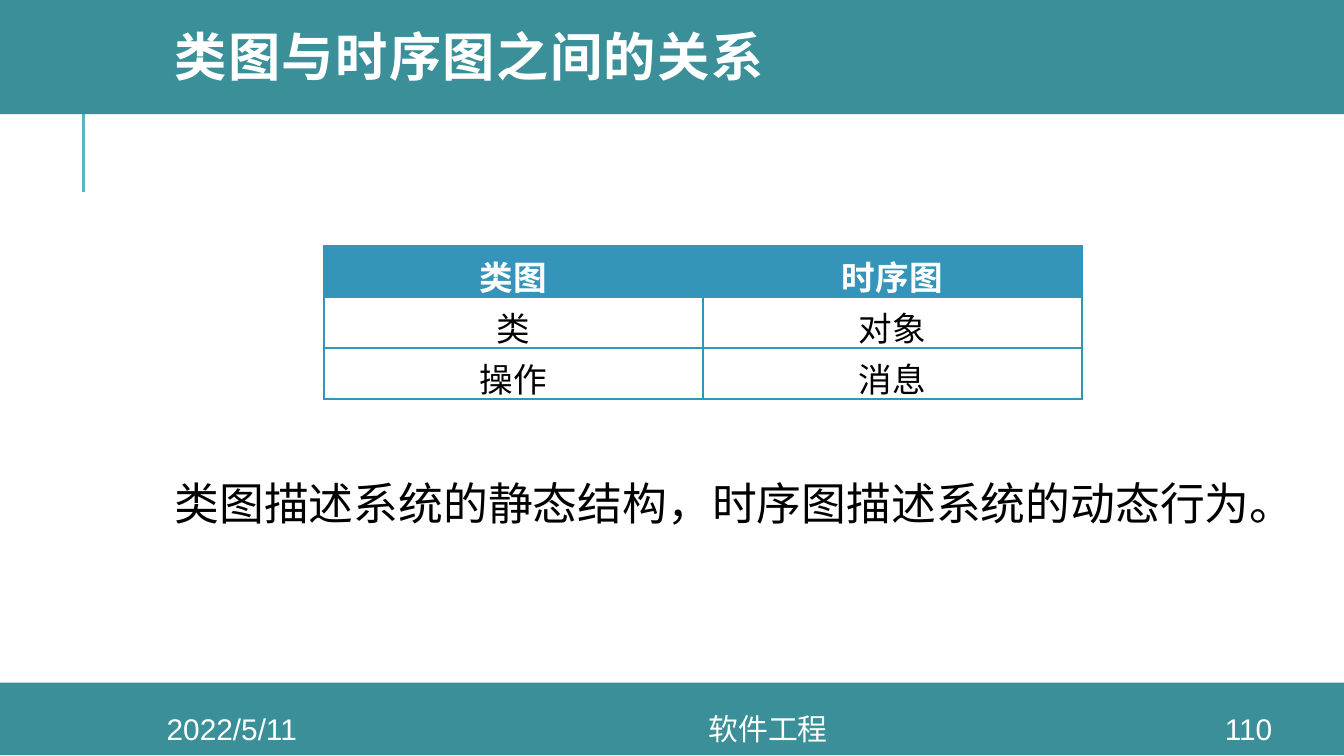
from dataclasses import dataclass

import pptx
import pptx.dml.color
import pptx.enum.shapes
import pptx.enum.text
import pptx.oxml
import pptx.oxml.ns
import pptx.util
from lxml import etree

Inches = pptx.util.Inches
Pt = pptx.util.Pt
RGBColor = pptx.dml.color.RGBColor
PP_ALIGN = pptx.enum.text.PP_ALIGN
MSO_ANCHOR = pptx.enum.text.MSO_ANCHOR
qn = pptx.oxml.ns.qn

WHITE = RGBColor(0xFF, 0xFF, 0xFF)
BLACK = RGBColor(0x00, 0x00, 0x00)
TEAL = RGBColor(0x3A, 0x8F, 0x98)
AQUA = RGBColor(0x58, 0xB6, 0xC0)
BLUE = RGBColor(0x34, 0x94, 0xBA)


@dataclass
class Label:
    text: str
    left: float
    top: float
    width: float
    height: float
    size: int
    color: RGBColor
    align: PP_ALIGN = PP_ALIGN.CENTER
    anchor: MSO_ANCHOR = MSO_ANCHOR.MIDDLE
    margin: float = 0


FOOTERS = [
    Label(text, left, 5.31, width, 0.23, 16, WHITE)
    for text, left, width in [
        ("2022/5/11", 0.84, 1.77),
        ("软件工程", 2.61, 6.21),
        ("110", 8.89, 0.8),
    ]
]
SUMMARY = Label("类图描述系统的静态结构，时序图描述系统的动态行为。", 1.2, 3.49, 8.49, 0.5,
                24, BLACK, PP_ALIGN.LEFT, MSO_ANCHOR.TOP, 0.05)
ROWS = [("类图", "时序图"), ("类", "对象"), ("操作", "消息")]


def style(p, size: int, color: RGBColor, bold: bool = False, name: str = "Arial") -> None:
    p.font.size = Pt(size)
    p.font.color.rgb = color
    p.font.bold = bold
    p.font.name = name


def add_bar(slide, top: float, height: float) -> None:
    sp = slide.shapes.add_shape(pptx.enum.shapes.MSO_SHAPE.RECTANGLE,
                                0, Inches(top), Inches(10), Inches(height))
    sp.shadow.inherit = False
    sp.fill.solid()
    sp.fill.fore_color.rgb = TEAL
    sp.line.fill.background()


def add_rule(slide) -> None:
    cxn = slide.shapes.add_connector(pptx.enum.shapes.MSO_CONNECTOR.STRAIGHT,
                                     Inches(0.62), Inches(1.43), Inches(0.62), Inches(0.68))
    cxn.line.color.rgb = AQUA
    cxn.line.width = Pt(1.5)
    etree.SubElement(cxn._element.spPr, qn("a:effectLst"))


def add_label(slide, label: Label) -> None:
    sp = slide.shapes.add_textbox(Inches(label.left), Inches(label.top),
                                  Inches(label.width), Inches(label.height))
    tf = sp.text_frame
    tf.word_wrap = True
    tf.vertical_anchor = label.anchor
    tf.margin_top = tf.margin_bottom = Inches(label.margin)
    p = tf.paragraphs[0]
    p.text = label.text
    p.alignment = label.align
    style(p, label.size, label.color)


def set_title(slide, text: str) -> None:
    title = slide.shapes.title
    title.left, title.top = Inches(1.2), Inches(0)
    title.width, title.height = Inches(8.49), Inches(0.91)
    # Bring the title in front of the header bar
    title._element.getparent().append(title._element)
    tf = title.text_frame
    tf.vertical_anchor = MSO_ANCHOR.MIDDLE
    p = tf.paragraphs[0]
    p.text = text
    p.alignment = PP_ALIGN.LEFT
    p.line_spacing = 0.8
    style(p, 28, WHITE, True, "Montserrat")
    p.runs[0]._r.get_or_add_rPr().set("spc", "80")


def add_borders(cell) -> None:
    tcPr = cell._tc.get_or_add_tcPr()
    for side in ("lnL", "lnR", "lnT", "lnB"):
        ln = etree.SubElement(tcPr, qn(f"a:{side}"), w=str(Pt(1)))
        fill = etree.SubElement(ln, qn("a:solidFill"))
        etree.SubElement(fill, qn("a:srgbClr"), val=str(BLUE))


def add_mapping_table(slide) -> None:
    row_height = Inches(0.38)
    table = slide.shapes.add_table(len(ROWS), 2, Inches(2.41), Inches(1.83),
                                   Inches(5.64), row_height * len(ROWS)).table
    table.horz_banding = False
    for i, row in enumerate(ROWS):
        header = i == 0
        for j, text in enumerate(row):
            cell = table.cell(i, j)
            cell.margin_left = cell.margin_right = Inches(0.08)
            cell.margin_top = cell.margin_bottom = Inches(0.04)
            add_borders(cell)
            if header:
                cell.fill.solid()
                cell.fill.fore_color.rgb = BLUE
            else:
                cell.fill.background()
            p = cell.text_frame.paragraphs[0]
            p.text = text
            p.alignment = PP_ALIGN.CENTER
            style(p, 18, WHITE if header else BLACK, header)


def main() -> None:
    prs = pptx.Presentation()
    # Widescreen 16:9
    prs.slide_width = Inches(10)
    prs.slide_height = prs.slide_width * 9 // 16
    slide = prs.slides.add_slide(prs.slide_layouts[5])

    # Header and footer bars with the accent rule
    add_rule(slide)
    add_bar(slide, 5.08, 0.54)
    add_bar(slide, -0.03, 0.88)

    # Title, footer, table and closing sentence
    set_title(slide, "类图与时序图之间的关系")
    for label in FOOTERS:
        add_label(slide, label)
    add_mapping_table(slide)
    add_label(slide, SUMMARY)

    prs.save("out.pptx")


if __name__ == "__main__":
    main()
